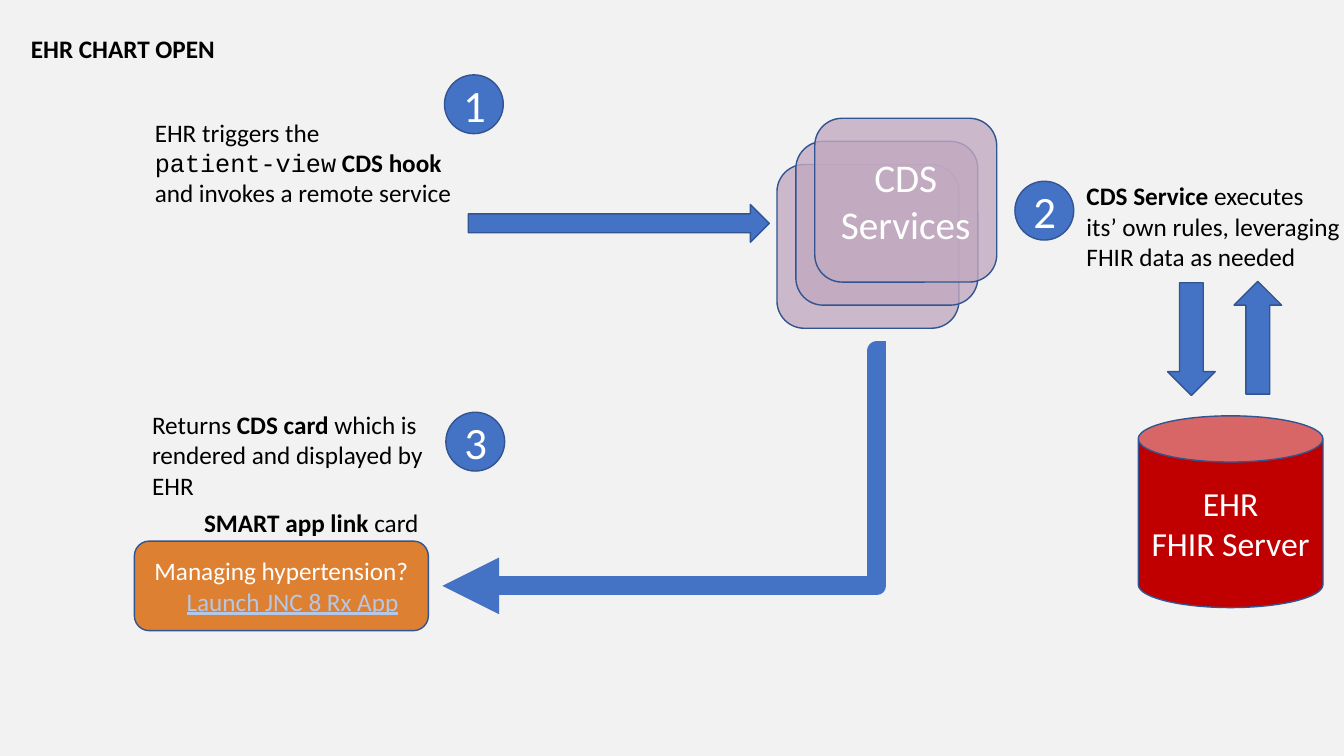
from dataclasses import dataclass

from lxml.etree import SubElement
from pptx import Presentation
from pptx.dml.color import RGBColor
from pptx.enum.shapes import MSO_CONNECTOR, MSO_SHAPE
from pptx.enum.text import MSO_ANCHOR, PP_ALIGN
from pptx.oxml.ns import qn
from pptx.util import Pt


@dataclass(frozen=True)
class Theme:
    font: str = "Calibri"
    code_font: str = "Courier New"
    background: str = "F2F2F2"
    text: str = "000000"
    light_text: str = "FFFFFF"
    link: str = "B4C7E7"
    blue: str = "4472C4"
    outline: str = "325491"
    mauve: str = "C2AAC1"
    orange: str = "DD8032"
    red: str = "C00000"
    body: int = 18
    server: int = 24
    service: int = 28
    number: int = 32


class Diagram:
    def __init__(self, slide, theme):
        self.slide = slide
        self.theme = theme
        fill = slide.background.fill
        fill.solid()
        fill.fore_color.rgb = RGBColor.from_string(theme.background)

    def set_text(self, tf, paragraphs, size, color, align):
        """Each paragraph is a list of (text, format) runs; a newline breaks the line."""
        tf.word_wrap = True
        for i, runs in enumerate(paragraphs):
            p = tf.paragraphs[0] if i == 0 else tf.add_paragraph()
            p.alignment = align
            for text, extra in runs:
                values = {"name": self.theme.font, "size": Pt(size), **extra}
                run_color = values.pop("color", color)
                for j, line in enumerate(text.split("\n")):
                    if j:
                        p.add_line_break()
                    r = p.add_run()
                    r.text = line
                    for name, value in values.items():
                        setattr(r.font, name, value)
                    r.font.color.rgb = RGBColor.from_string(run_color)

    def label(self, box, *paragraphs, align=PP_ALIGN.LEFT):
        tb = self.slide.shapes.add_textbox(*map(Pt, box))
        self.set_text(tb.text_frame, paragraphs, self.theme.body, self.theme.text, align)

    def shape(self, kind, box, fill, paragraphs=(), size=None, alpha=None):
        sp = self.slide.shapes.add_shape(kind, *map(Pt, box))
        sp.shadow.inherit = False
        sp.fill.solid()
        sp.fill.fore_color.rgb = RGBColor.from_string(fill)
        if alpha is not None:
            color = sp._element.spPr.find(qn("a:solidFill")).find(qn("a:srgbClr"))
            SubElement(color, qn("a:alpha"), val=str(alpha * 1000))
        sp.line.color.rgb = RGBColor.from_string(self.theme.outline)
        sp.line.width = Pt(1)
        tf = sp.text_frame
        tf.vertical_anchor = MSO_ANCHOR.MIDDLE
        self.set_text(tf, paragraphs, size, self.theme.light_text, PP_ALIGN.CENTER)
        return sp

    def step(self, number, left, top):
        self.shape(MSO_SHAPE.OVAL, (left, top, 42, 42), self.theme.blue,
                   [[(str(number), {})]], self.theme.number)

    def elbow_arrow(self, start, end, bend):
        """Bend is the share of the width at which the line turns."""
        cn = self.slide.shapes.add_connector(
            MSO_CONNECTOR.ELBOW, *map(Pt, (*start, *end)))
        cn.line.color.rgb = RGBColor.from_string(self.theme.blue)
        cn.line.width = Pt(13.5)
        sp_pr = cn._element.spPr
        guides = sp_pr.find(qn("a:prstGeom")).get_or_add_avLst()
        SubElement(guides, qn("a:gd"), name="adj1", fmla=f"val {round(bend * 100000)}")
        SubElement(sp_pr.find(qn("a:ln")), qn("a:tailEnd"), type="triangle")
        SubElement(sp_pr, qn("a:effectLst"))


def main():
    prs = Presentation()
    prs.slide_width, prs.slide_height = Pt(960), Pt(540)
    theme = Theme()
    s = Diagram(prs.slides.add_slide(prs.slide_layouts[6]), theme)
    bold = {"bold": True}

    # Title
    s.label((15, 20, 230, 29), [("EHR CHART OPEN", bold)])

    # Step 1: the hook calls the service
    s.label((103.5, 80, 246, 73),
            [("EHR triggers the", {})],
            [("patient-view", {"name": theme.code_font}), (" ", {}),
             ("CDS hook ", bold), ("and invokes a remote service", {})])
    s.step(1, 317.5, 53.5)
    s.shape(MSO_SHAPE.RIGHT_ARROW, (334.5, 146, 215, 27), theme.blue)

    # Stack of services, the front one labelled
    services = [[("CDS", {})], [("Services", {})]]
    for i in range(3):
        s.shape(MSO_SHAPE.ROUNDED_RECTANGLE,
                (555 + 13.5 * i, 117.5 - 16.5 * i, 130, 117), theme.mauve,
                services if i == 2 else (), theme.service, alpha=80)

    # Step 2: the service reads FHIR data
    s.step(2, 725, 129.5)
    s.label((769, 125.5, 197, 73),
            [("CDS Service ", bold),
             ("executes\nits’ own rules, leveraging FHIR data as needed", {})])
    s.shape(MSO_SHAPE.DOWN_ARROW, (834, 202, 34, 80.5), theme.blue)
    s.shape(MSO_SHAPE.UP_ARROW, (881.5, 201, 34, 80.5), theme.blue)
    s.shape(MSO_SHAPE.CAN, (813, 297, 132, 137), theme.red,
            [[("EHR", {})], [("FHIR Server", {})]], theme.server)

    # Step 3: the card comes back to the EHR
    s.elbow_arrow((633, 250.5), (316, 418.5), 0.021)
    s.step(3, 318.5, 294.5)
    s.label((101.5, 289, 209.5, 73),
            [("Returns ", {}), ("CDS card ", bold),
             ("which is\nrendered and displayed by EHR", {})])
    s.label((96, 358.5, 210, 29), [("SMART app link ", bold), ("card", {})],
            align=PP_ALIGN.RIGHT)
    card = s.shape(MSO_SHAPE.ROUNDED_RECTANGLE, (96, 386.5, 210, 64), theme.orange,
                   [[("Managing hypertension?", {})],
                    [("Launch JNC 8 Rx App", {"color": theme.link, "underline": True})]],
                   theme.body)
    link = card.text_frame.paragraphs[1]
    link._p.get_or_add_pPr().set("marL", str(Pt(16)))

    prs.save("out.pptx")


if __name__ == "__main__":
    main()
